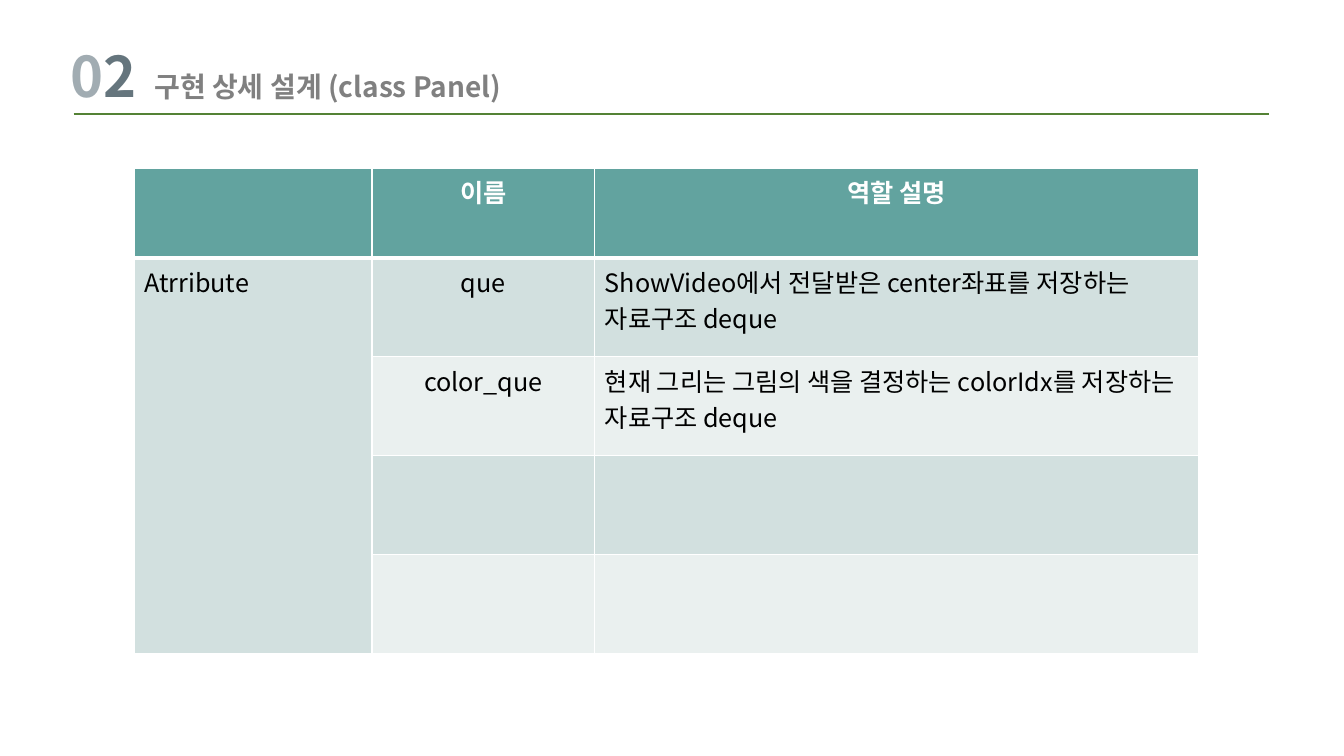
from lxml import etree
from pptx import Presentation
from pptx.dml.color import RGBColor
from pptx.enum import text
from pptx.oxml.ns import qn
from pptx.util import Inches, Pt

FONT = "Noto Sans CJK KR"
COLORS = {
    "white": "FFFFFF",
    "black": "000000",
    "zero": "A1ACB2",
    "two": "65757D",
    "heading": "808080",
    "rule": "548235",
    "header": "62A39F",
    "dark_band": "D2E0DF",
    "light_band": "EAF0EF",
}
COLUMN_WIDTHS = [2.36, 2.21, 5.99]
ROW_HEIGHTS = [0.89] + [0.98] * 4
ROWS = [
    ["", "이름", "역할 설명"],
    ["Atrribute", "que", "ShowVideo에서 전달받은 center좌표를 저장하는 자료구조 deque"],
    ["", "color_que", "현재 그리는 그림의 색을 결정하는 colorIdx를 저장하는 자료구조 deque"],
    ["", "", ""],
    ["", "", ""],
]


def color(name):
    return RGBColor.from_string(COLORS[name])


def set_font(paragraph, size, color_name, bold):
    font = paragraph.font
    font.size, font.bold, font.name = Pt(size), bold, FONT
    font.color.rgb = color(color_name)
    # Hangul takes its typeface from the East Asian font
    properties = paragraph._p.pPr.find(qn("a:defRPr"))
    etree.SubElement(properties, qn("a:ea"), typeface=FONT)


def add_title(slide):
    title = slide.shapes.title
    title.left, title.top = Inches(0.6), Inches(0.36)
    title.width, title.height = Inches(7.08), Inches(0.76)
    frame = title.text_frame
    frame.word_wrap = True
    frame.auto_size = text.MSO_AUTO_SIZE.NONE
    frame.vertical_anchor = text.MSO_ANCHOR.TOP
    paragraph = frame.paragraphs[0]
    paragraph.alignment = text.PP_ALIGN.LEFT
    # The tab stop sets the gap between number and heading
    tabs = etree.SubElement(paragraph._p.get_or_add_pPr(), qn("a:tabLst"))
    etree.SubElement(tabs, qn("a:tab"), pos=str(Inches(0.83)), algn="l")
    set_font(paragraph, 20, "heading", True)
    for words, size, color_name in [
        ("0", 40, "zero"),
        ("2", 40, "two"),
        ("\t구현 상세 설계 (class Panel)", 20, "heading"),
    ]:
        run = paragraph.add_run()
        run.text = words
        run.font.size = Pt(size)
        run.font.color.rgb = color(color_name)


def add_rule(slide):
    line = slide.shapes.add_connector(
        1, Inches(0.73), Inches(1.13), Inches(12.59), Inches(1.13))
    line.line.color.rgb = color("rule")
    line.line.width = Pt(1.75)
    etree.SubElement(line._element.spPr, qn("a:effectLst"))


def set_borders(cell, top, bottom):
    properties = cell._tc.get_or_add_tcPr()
    for side, width in [("L", 0.96), ("R", 0.96), ("T", top), ("B", bottom)]:
        border = etree.SubElement(properties, qn(f"a:ln{side}"), w=str(Pt(width)))
        fill = etree.SubElement(border, qn("a:solidFill"))
        etree.SubElement(fill, qn("a:srgbClr"), val=COLORS["white"])


def fill_cell(cell, words, row, column):
    # A thick line parts the header from the body
    set_borders(cell, 3 if row == 1 else 0.96, 3 if row == 0 else 0.96)
    if row == 0:
        band = "header"
    else:
        band = "dark_band" if row % 2 or column == 0 else "light_band"
    cell.fill.solid()
    cell.fill.fore_color.rgb = color(band)
    paragraph = cell.text_frame.paragraphs[0]
    if words:
        paragraph.text = words
    centred = row == 0 or column == 1
    paragraph.alignment = text.PP_ALIGN.CENTER if centred else text.PP_ALIGN.LEFT
    set_font(paragraph, 18, "white" if row == 0 else "black", row == 0)


def add_member_table(slide):
    table = slide.shapes.add_table(
        len(ROWS), len(COLUMN_WIDTHS), Inches(1.33), Inches(1.67),
        Inches(sum(COLUMN_WIDTHS)), Inches(sum(ROW_HEIGHTS))).table
    table.horz_banding = False
    for column, width in zip(table.columns, COLUMN_WIDTHS):
        column.width = Inches(width)
    for row, height in zip(table.rows, ROW_HEIGHTS):
        row.height = Inches(height)
    for row, values in enumerate(ROWS):
        for column, words in enumerate(values):
            fill_cell(table.cell(row, column), words, row, column)
    table.cell(1, 0).merge(table.cell(4, 0))


def main():
    presentation = Presentation()
    presentation.slide_width = Inches(13.33)
    presentation.slide_height = Inches(7.5)
    slide = presentation.slides.add_slide(presentation.slide_layouts[5])
    add_title(slide)
    add_rule(slide)
    add_member_table(slide)
    presentation.save("out.pptx")


if __name__ == "__main__":
    main()
